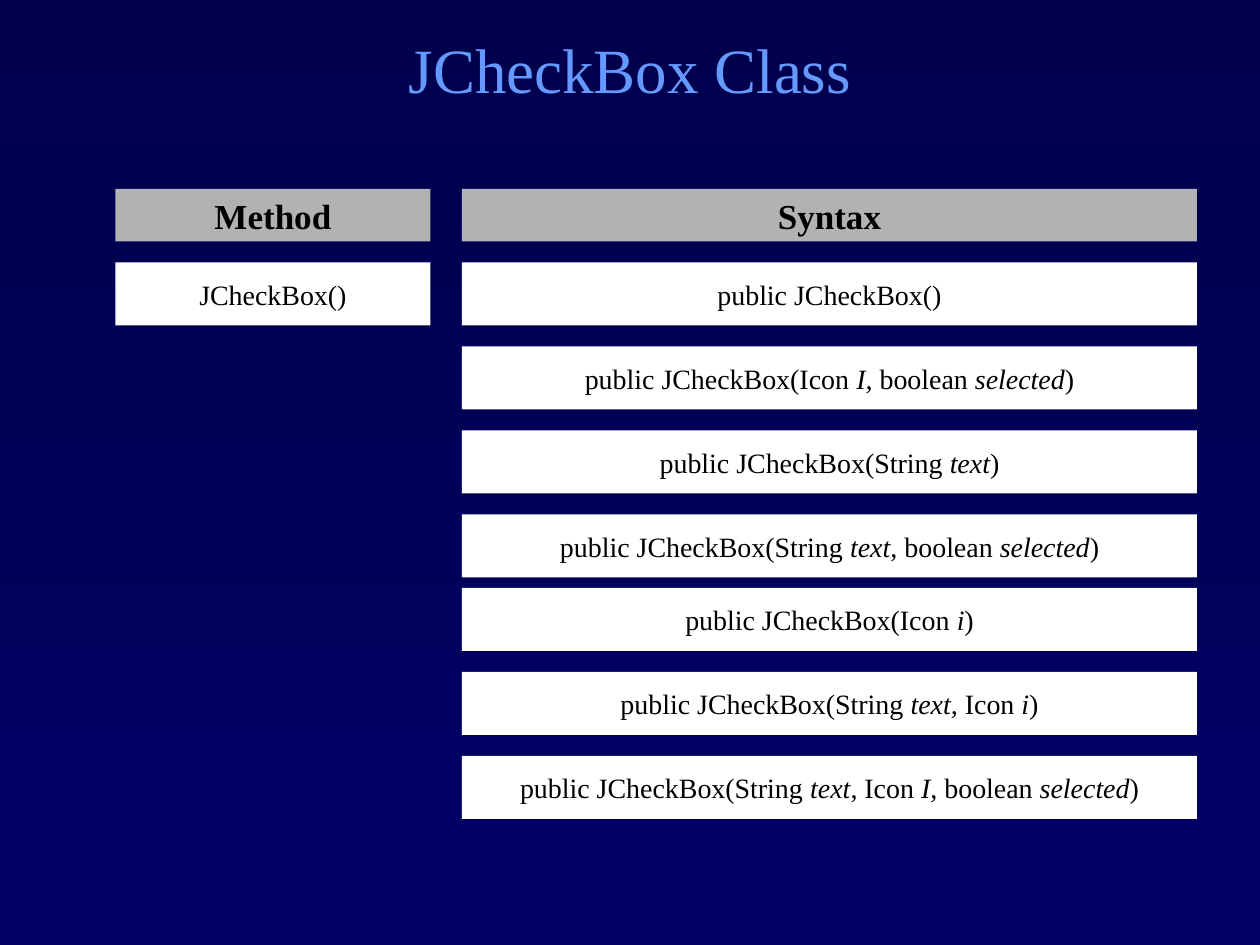
from pptx import Presentation
from pptx import util as u
from pptx.dml.color import RGBColor
from pptx.enum import shapes, text

PX = u.Inches(1) // 120
BLUE = RGBColor(0x66, 0x99, 0xFF)
GRAY = RGBColor(0xB2, 0xB2, 0xB2)
WHITE = RGBColor(0xFF, 0xFF, 0xFF)
BLACK = RGBColor(0x00, 0x00, 0x00)
NAVY_TOP = RGBColor(0x00, 0x00, 0x4C)
NAVY_BOTTOM = RGBColor(0x00, 0x00, 0x66)

METHOD_COLUMN = (110, 300)
SYNTAX_COLUMN = (440, 700)
HEADER_TOP, HEADER_HEIGHT = 180, 50
FIRST_ROW, ROW_HEIGHT, ROW_PITCH = 250, 60, 80
SECOND_GROUP = 560

SYNTAX_GROUPS = {
    FIRST_ROW: [
        "public JCheckBox()",
        "public JCheckBox(Icon *I, *boolean *selected*)",
        "public JCheckBox(String *text*)",
        "public JCheckBox(String *text*, boolean *selected*)",
    ],
    SECOND_GROUP: [
        "public JCheckBox(Icon *i*)",
        "public JCheckBox(String *text, *Icon *i*)",
        "public JCheckBox(String *text*, Icon *I, *boolean *selected*)",
    ],
}


class ClassSlide:
    font_name = "Times New Roman"

    def __init__(self, deck):
        self.slide = deck.slides.add_slide(deck.slide_layouts[6])

    def background(self, top_color, bottom_color):
        fill = self.slide.background.fill
        fill.gradient()
        fill.gradient_angle = 270
        for stop, color, position in zip(
            fill.gradient_stops, (top_color, bottom_color), (0, 1)
        ):
            stop.color.rgb = color
            stop.position = position

    def centered_text(self, frame, content, size, color, bold=False):
        frame.vertical_anchor = text.MSO_ANCHOR.MIDDLE
        paragraph = frame.paragraphs[0]
        paragraph.alignment = text.PP_ALIGN.CENTER
        paragraph.font.name = self.font_name
        paragraph.font.size = u.Pt(size)
        paragraph.font.bold = bold
        paragraph.font.color.rgb = color
        for index, part in enumerate(content.split("*")):
            run = paragraph.add_run()
            run.text = part
            if index % 2:
                run.font.italic = True

    def title(self, content, left, top, width, height):
        box = self.slide.shapes.add_textbox(
            left * PX, top * PX, width * PX, height * PX
        )
        box.text_frame.word_wrap = True
        self.centered_text(box.text_frame, content, 36, BLUE)

    def cell(self, content, column, top, height, fill, size, bold=False):
        left, width = column
        cell = self.slide.shapes.add_shape(
            shapes.MSO_SHAPE.RECTANGLE,
            left * PX, top * PX, width * PX, height * PX,
        )
        cell.shadow.inherit = False
        cell.fill.solid()
        cell.fill.fore_color.rgb = fill
        cell.line.fill.background()
        cell.text_frame.word_wrap = False
        self.centered_text(cell.text_frame, content, size, BLACK, bold)

    def header(self, content, column):
        self.cell(content, column, HEADER_TOP, HEADER_HEIGHT, GRAY, 20, True)

    def entry(self, content, column, top):
        self.cell(content, column, top, ROW_HEIGHT, WHITE, 16)


def main():
    deck = Presentation()
    deck.slide_width = 1200 * PX
    deck.slide_height = 900 * PX
    page = ClassSlide(deck)
    page.background(NAVY_TOP, NAVY_BOTTOM)
    page.title("JCheckBox Class", 90, 0, 1020, 130)
    page.header("Method", METHOD_COLUMN)
    page.header("Syntax", SYNTAX_COLUMN)
    page.entry("JCheckBox()", METHOD_COLUMN, FIRST_ROW)
    for group_top, signatures in SYNTAX_GROUPS.items():
        for row, signature in enumerate(signatures):
            page.entry(signature, SYNTAX_COLUMN, group_top + row * ROW_PITCH)
    deck.save("out.pptx")


if __name__ == "__main__":
    main()
